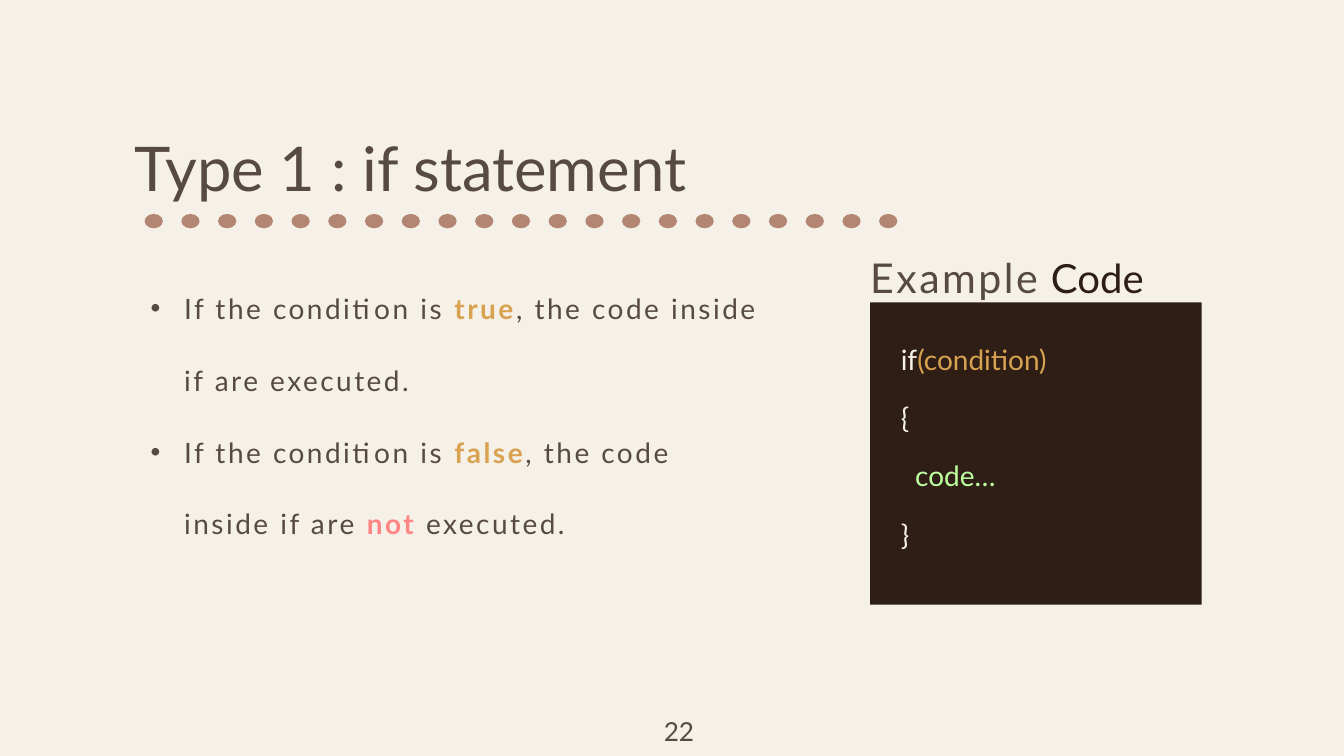
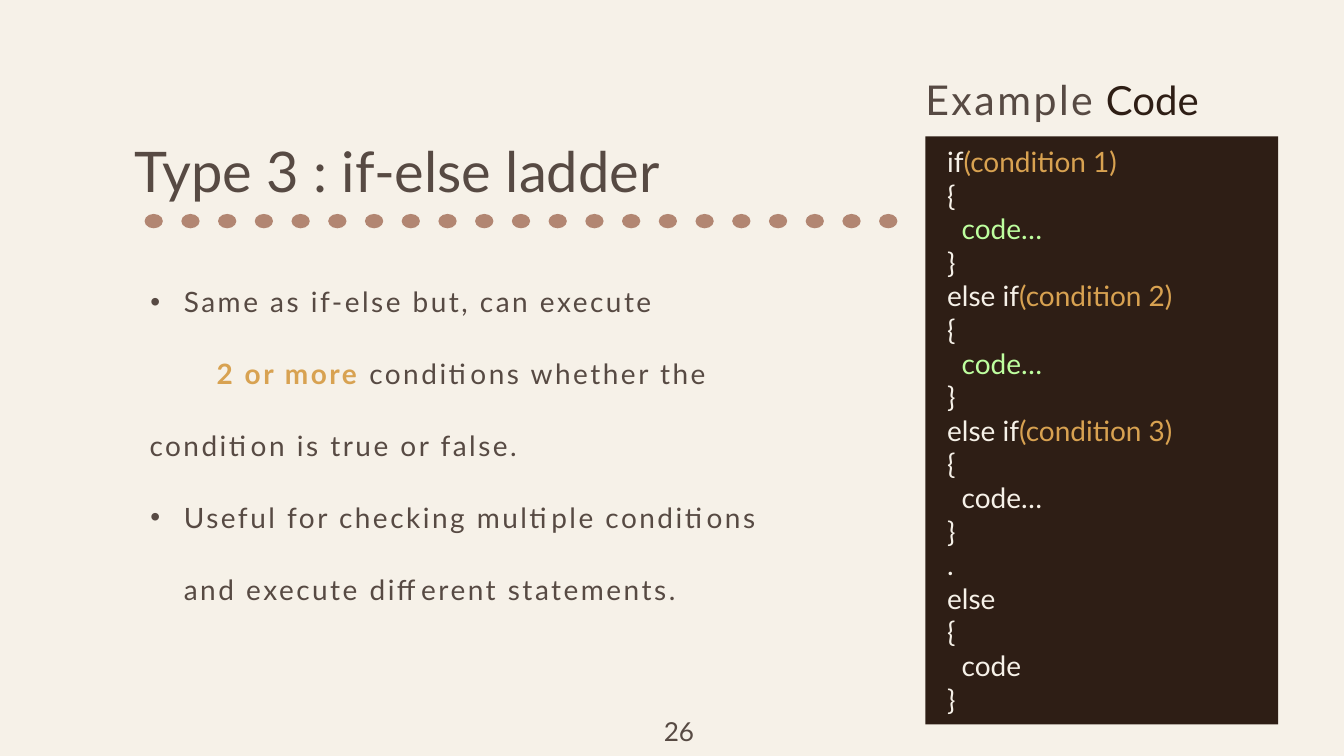
from math import cos, pi, sin

from lxml.etree import SubElement
from pptx import Presentation
from pptx.dml.color import RGBColor
from pptx.enum.shapes import MSO_SHAPE as Shape
from pptx.enum.text import MSO_ANCHOR as Anchor, MSO_AUTO_SIZE as AutoSize, PP_ALIGN as Align
from pptx.oxml.ns import qn
from pptx.util import Pt

FONT = "Lato"
COLORS = {
    "background": "F6F1E8",
    "text": "574A43",
    "panel": "2E1E15",
    "dot": "B28672",
    "light": "F6F1E8",
    "accent": "D8A251",
    "code": "BEFF9F",
    "warning": "FF8585",
}
BODY_SIZE, BODY_TRACKING = 30, 2.7
DOT_COUNT, DOT_PITCH, DOT_CORNERS = 21, 39.35, 12
DOT_CENTER_X, DOT_CENTER_Y, DOT_RADIUS_X, DOT_RADIUS_Y = 164.7, 236.9, 9.8, 7.7
CODE_INDENT = 15.5

# Boxes are left, top, width, height; runs are text and colour name.
# Each list paragraph starts with its left margin and first-line indent.
BULLET, PLAIN = (67, -36), (30.2, 72)
SLIDES = [
    {
        "title": "Type 1 : if statement",
        "title_size": 66,
        "number": "22",
        "body_box": (130.3, 271.2, 691.2, 301),
        "body": [
            (BULLET, [("If the condition is ", "text"), ("true", "accent"),
                      (", the code inside if are executed.", "text")]),
            (BULLET, [("If the condition is ", "text"), ("false", "accent"),
                      (", the code inside if are ", "text"), ("not", "warning"),
                      (" executed.", "text")]),
        ],
        "panel_box": (932.4, 324, 355.2, 324),
        "heading_top": 271.4,
        "code_box": (965.1, 340.6, 315, 250),
        "code_spacing": Pt(62.4),
        "code": [
            [("if", "light"), ("(condition)", "accent")],
            [("{", "light")],
            [("code…", "code")],
            [("}", "light")],
        ],
    },
    {
        "title": "Type 3 : if-else ladder",
        "title_size": 60,
        "number": "26",
        "body_box": (130, 264.2, 715.7, 456.5),
        "body": [
            (BULLET, [("Same as if-else but, can execute", "text")]),
            (PLAIN, [("2 or more", "accent"),
                     (" conditions whether the condition is true or false.", "text")]),
            (BULLET, [("Useful for checking multiple conditions and execute "
                       "different statements.", "text")]),
        ],
        "panel_box": (991.4, 146.2, 378, 630),
        "heading_top": 80.6,
        "code_box": (1014.9, 154.8, 354, 620),
        "code_spacing": 1.0,
        "code": [
            [("if", "light"), ("(condition 1)", "accent")],
            [("{", "light")],
            [("code…", "code")],
            [("}", "light")],
            [("else if", "light"), ("(condition 2)", "accent")],
            [("{", "light")],
            [("code…", "code")],
            [("}", "light")],
            [("else if", "light"), ("(condition 3)", "accent")],
            [("{", "light")],
            [("code…", "light")],
            [("}", "light")],
            [(".", "light")],
            [("else", "light")],
            [("{", "light")],
            [("code", "light")],
            [("}", "light")],
        ],
    },
]


def prepare_frame(shape, box):
    """Place a text shape, remove its insets and return its text frame."""
    shape.left, shape.top, shape.width, shape.height = map(Pt, box)
    frame = shape.text_frame
    frame.word_wrap = True
    frame.auto_size = AutoSize.NONE
    frame.vertical_anchor = Anchor.TOP
    frame.margin_left = frame.margin_right = frame.margin_top = frame.margin_bottom = 0
    return frame


def add_paragraph(frame, runs, size, line_spacing, tracking=0, align=Align.LEFT):
    """Write runs into the empty first paragraph, or into a new one."""
    paragraph = frame.paragraphs[0]
    if paragraph.runs:
        paragraph = frame.add_paragraph()
    paragraph.alignment = align
    paragraph.line_spacing = line_spacing
    paragraph.space_before = Pt(0)
    for text, color in runs:
        run = paragraph.add_run()
        run.text = text
        run.font.name = FONT
        run.font.size = Pt(size)
        run.font.color.rgb = RGBColor.from_string(COLORS[color])
        if tracking:
            run._r.get_or_add_rPr().set("spc", str(round(tracking * 100)))
    return paragraph


presentation = Presentation()
presentation.slide_width, presentation.slide_height = Pt(1440), Pt(810)
background = presentation.slide_master.background.fill
background.solid()
background.fore_color.rgb = RGBColor.from_string(COLORS["background"])

angles = [2 * pi * corner / DOT_CORNERS for corner in range(DOT_CORNERS)]
dot_outlines = [
    [(Pt(DOT_CENTER_X + index * DOT_PITCH + DOT_RADIUS_X * cos(angle)),
      Pt(DOT_CENTER_Y + DOT_RADIUS_Y * sin(angle))) for angle in angles]
    for index in range(DOT_COUNT)
]

for content in SLIDES:
    slide = presentation.slides.add_slide(presentation.slide_layouts[1])
    shapes = slide.shapes

    # Title and list
    title_frame = prepare_frame(shapes.title, (144, 122.3, 835, 93))
    add_paragraph(title_frame, [(content["title"], "text")], content["title_size"], Pt(96))

    body_frame = prepare_frame(slide.placeholders[1], content["body_box"])
    for (margin, indent), runs in content["body"]:
        paragraph = add_paragraph(body_frame, runs, BODY_SIZE, Pt(77), BODY_TRACKING)
        for run, (text, color) in zip(paragraph.runs, runs):
            run.font.bold = color != "text"
        properties = paragraph._p.get_or_add_pPr()
        properties.set("marL", str(Pt(margin)))
        properties.set("indent", str(Pt(indent)))
        if (margin, indent) == BULLET:
            SubElement(properties, qn("a:buFont")).set("typeface", "Arial")
            SubElement(properties, qn("a:buChar")).set("char", "•")
        else:
            SubElement(properties, qn("a:buNone"))

    # Slide number
    number_box = (653, 766, 90.7, 34.6)
    number_frame = prepare_frame(shapes.add_textbox(*map(Pt, number_box)), number_box)
    add_paragraph(number_frame, [(content["number"], "text")], 28, Pt(33.6), align=Align.RIGHT)

    # Example code
    panel = shapes.add_shape(Shape.RECTANGLE, *map(Pt, content["panel_box"]))

    heading_box = (content["panel_box"][0], content["heading_top"], 416, 52.6)
    heading_frame = prepare_frame(shapes.add_textbox(*map(Pt, heading_box)), heading_box)
    heading = add_paragraph(heading_frame, [("Example", "text"), (" Code", "panel")], 44, Pt(51.5))
    heading.runs[0]._r.get_or_add_rPr().set("spc", str(round(BODY_TRACKING * 100)))
    heading.runs[1].font.size = Pt(43)

    code_box = content["code_box"]
    code_frame = prepare_frame(shapes.add_textbox(*map(Pt, code_box)), code_box)
    for runs in content["code"]:
        line = add_paragraph(code_frame, runs, BODY_SIZE, content["code_spacing"])
        if line.text.startswith("code"):
            line._p.get_or_add_pPr().set("marL", str(Pt(CODE_INDENT)))

    # Dotted rule under the title, one outline per dot
    builder = shapes.build_freeform(*dot_outlines[0][0])
    for outline in dot_outlines:
        if outline is not dot_outlines[0]:
            builder.move_to(*outline[0])
        builder.add_line_segments(outline[1:], close=True)
    dotted_rule = builder.convert_to_shape()

    for shape, color in ((panel, "panel"), (dotted_rule, "dot")):
        shape.shadow.inherit = False
        shape.fill.solid()
        shape.fill.fore_color.rgb = RGBColor.from_string(COLORS[color])
        shape.line.fill.background()

presentation.save("out.pptx")
